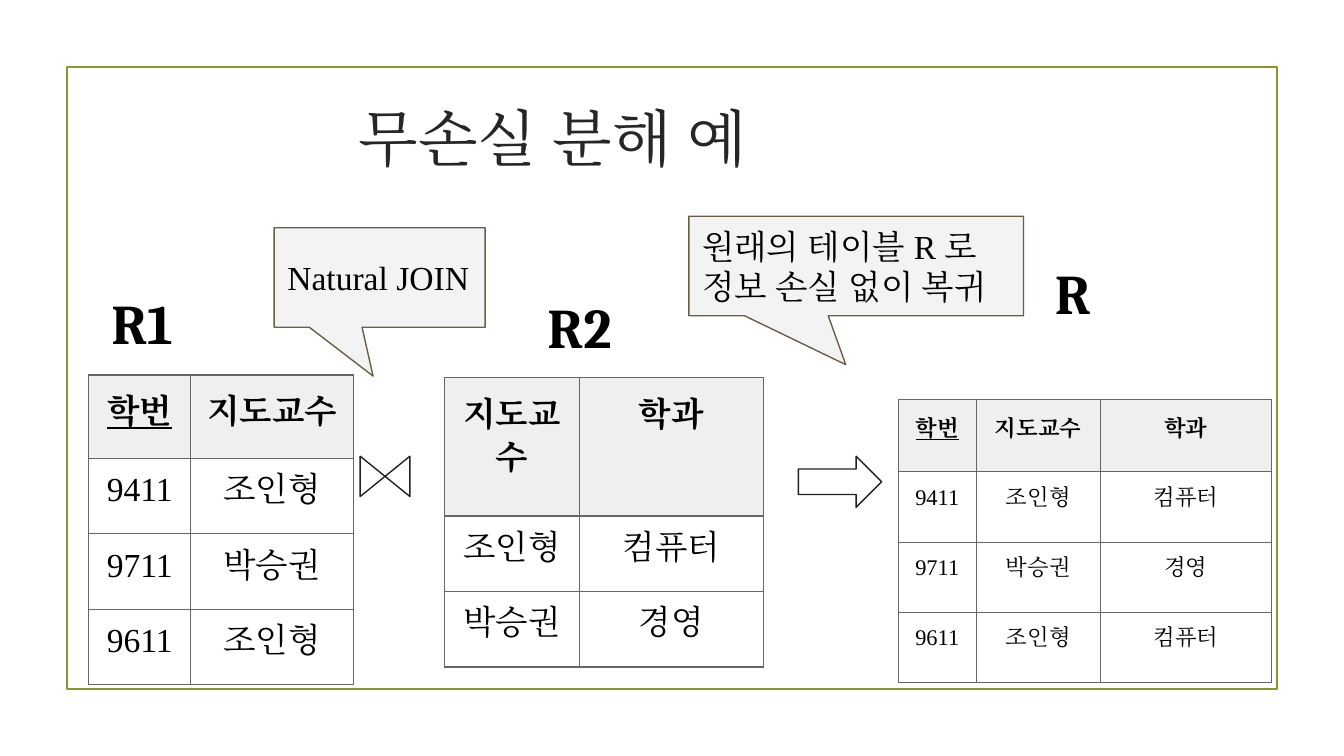
"""Build a slide on lossless decomposition: R1 joined with R2 gives back R."""
from dataclasses import dataclass
from typing import Optional

from pptx import Presentation
from pptx import util as u
from pptx.dml.color import RGBColor
from pptx.enum import shapes, text
from pptx.oxml import parse_xml
from pptx.oxml.ns import nsdecls

COLORS = {"frame": "83992A", "title": "262626", "text": "000000", "white": "FFFFFF",
          "symbol": "212121", "callout": "F3F3F3", "edge": "695D46",
          "header": "EFEFEF", "border": "666666"}
BODY, LABEL = "Times New Roman", "Cambria"
KEY = "학번"
WIDTH = u.Inches(10)
HEIGHT = WIDTH * 9 // 16
COLUMNS = 100
MST = shapes.MSO_SHAPE


@dataclass(frozen=True)
class Box:
    """A place in grid cells, each one hundredth of the slide's width."""
    x: float
    y: float
    w: float
    h: float

    def emu(self) -> tuple:
        return tuple(cells(v) for v in (self.x, self.y, self.w, self.h))


@dataclass(frozen=True)
class Relation:
    name: str
    label: Box
    x: float
    y: float
    cols: tuple
    rows: tuple
    size: int
    data: tuple


@dataclass(frozen=True)
class Figure:
    kind: int
    box: Box
    fill: Optional[str]
    line: str
    weight: float = 0.75
    rotation: float = 0
    adjust: tuple = ()
    words: str = ""


WEDGE = (-0.031, 0.992, 0)
FRAME = Figure(MST.RECTANGLE, Box(5, 5, 90, 46.3), None, "frame", 1.25)
SYMBOLS = (
    Figure(MST.FLOWCHART_COLLATE, Box(27.15, 33.6, 3, 3.7), "white", "symbol", rotation=90),
    Figure(MST.RIGHT_ARROW, Box(59.4, 33.95, 6.2, 3.8), "white", "symbol", adjust=(0.5, 0.5)),
)
CALLOUTS = (
    Figure(MST.ROUNDED_RECTANGULAR_CALLOUT, Box(51.25, 16.1, 24.9, 7.4), "callout", "edge",
           adjust=WEDGE, words="원래의 테이블 R 로 정보 손실 없이 복귀"),
    Figure(MST.ROUNDED_RECTANGULAR_CALLOUT, Box(20.4, 16.95, 15.7, 7.4), "callout", "edge",
           adjust=WEDGE, words="Natural JOIN"),
)
RELATIONS = (
    Relation("R1", Box(7.3, 20.5, 9.1, 7.4), 6.6, 27.9,
             (7.6, 12.1), (6.2, 5.62, 5.62, 5.62), 18,
             ((KEY, "지도교수"), ("9411", "조인형"), ("9711", "박승권"), ("9611", "조인형"))),
    Relation("R2", Box(39.75, 20.75, 9.1, 7.4), 33.1, 28.1,
             (10, 13.7), (10.3, 5.62, 5.62), 18,
             (("지도교수", "학과"), ("조인형", "컴퓨터"), ("박승권", "경영"))),
    Relation("R", Box(77.5, 18.25, 7.1, 7.4), 66.85, 29.75,
             (5.78, 9.26, 12.7), (5.36, 5.23, 5.23, 5.23), 12,
             ((KEY, "지도교수", "학과"), ("9411", "조인형", "컴퓨터"),
              ("9711", "박승권", "경영"), ("9611", "조인형", "컴퓨터"))),
)


def cells(n: float) -> int:
    return round(WIDTH * n / COLUMNS)


def rgb(name: str) -> RGBColor:
    return RGBColor.from_string(COLORS[name])


def write(tf, words: str, size: float, font: str = BODY, color: str = "text",
          bold: bool = False, anchor=text.MSO_ANCHOR.TOP, align=text.PP_ALIGN.LEFT):
    """Fill a text frame or cell with one paragraph and return it."""
    tf.margin_left = tf.margin_top = tf.margin_right = tf.margin_bottom = cells(1)
    tf.vertical_anchor = anchor
    frame = getattr(tf, "text_frame", tf)
    frame.word_wrap = True
    p = frame.paragraphs[0]
    p.text = words
    p.alignment = align
    p.font.size, p.font.name, p.font.bold = u.Pt(size), font, bold
    p.font.color.rgb = rgb(color)
    p.font._rPr.append(parse_xml(f'<a:ea {nsdecls("a")} typeface="{font}"/>'))
    return p


def draw_figure(s, fig: Figure) -> None:
    sp = s.shapes.add_shape(fig.kind, *fig.box.emu())
    sp.shadow.inherit = False
    sp.rotation = fig.rotation
    for i, value in enumerate(fig.adjust):
        sp.adjustments[i] = value
    if fig.fill:
        sp.fill.solid()
        sp.fill.fore_color.rgb = rgb(fig.fill)
    else:
        sp.fill.background()
    sp.line.color.rgb = rgb(fig.line)
    sp.line.width = u.Pt(fig.weight)
    if fig.words:
        write(sp.text_frame, fig.words, 18, anchor=text.MSO_ANCHOR.MIDDLE)


def draw_label(s, rel: Relation) -> None:
    sp = s.shapes.add_textbox(*rel.label.emu())
    write(sp.text_frame, rel.name, 30, LABEL, bold=True)


def draw_borders(cell) -> None:
    tc_pr = cell._tc.get_or_add_tcPr()
    for side in "LRTB":
        tc_pr.append(parse_xml(
            f'<a:ln{side} {nsdecls("a")} w="{u.Pt(0.75)}"><a:solidFill>'
            f'<a:srgbClr val="{COLORS["border"]}"/></a:solidFill></a:ln{side}>'))


def draw_table(s, rel: Relation) -> None:
    box = Box(rel.x, rel.y, sum(rel.cols), sum(rel.rows))
    table = s.shapes.add_table(len(rel.rows), len(rel.cols), *box.emu()).table
    for column, width in zip(table.columns, rel.cols):
        column.width = cells(width)
    for row, height in zip(table.rows, rel.rows):
        row.height = cells(height)
    for i, record in enumerate(rel.data):
        for j, value in enumerate(record):
            cell = table.cell(i, j)
            draw_borders(cell)
            p = write(cell, value, rel.size, bold=i == 0, align=text.PP_ALIGN.CENTER)
            p.font.underline = value == KEY
            if i == 0:
                p.line_spacing = 1.15
                cell.fill.solid()
                cell.fill.fore_color.rgb = rgb("header")
            else:
                cell.fill.background()


def main() -> None:
    prs = Presentation()
    prs.slide_width, prs.slide_height = WIDTH, HEIGHT
    s = prs.slides.add_slide(prs.slide_layouts[5])
    title = s.shapes.title
    title.left, title.top, title.width, title.height = Box(25.7, 6.45, 50, 7.4).emu()
    write(title.text_frame, "무손실 분해 예", 33, color="title")
    title.text_frame.auto_size = text.MSO_AUTO_SIZE.NONE
    draw_figure(s, FRAME)
    for rel in RELATIONS:
        draw_label(s, rel)
    for fig in SYMBOLS:
        draw_figure(s, fig)
    for rel in RELATIONS:
        draw_table(s, rel)
    for fig in CALLOUTS:
        draw_figure(s, fig)
    prs.save("out.pptx")


if __name__ == "__main__":
    main()
